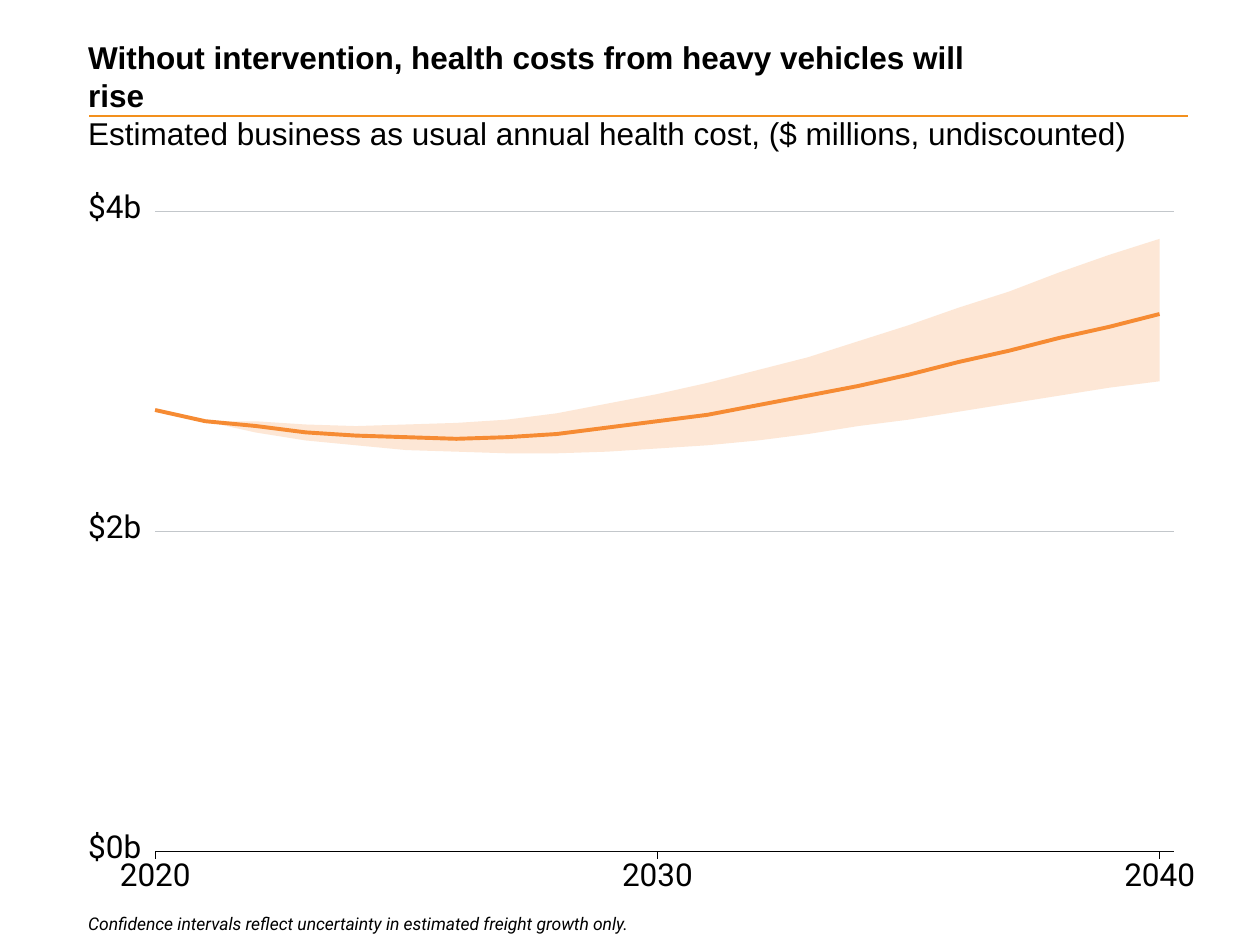
from pptx import Presentation
from pptx.dml.color import RGBColor
from pptx.enum.shapes import MSO_CONNECTOR as Conn
from pptx.enum.text import MSO_ANCHOR as Anchor, MSO_AUTO_SIZE as Auto, PP_ALIGN as Align
from pptx.oxml.ns import qn
from pptx.util import Pt
from lxml import etree

BLACK = RGBColor(0x00, 0x00, 0x00)
GOLD = RGBColor(0xF3, 0x90, 0x1D)
ORANGE = RGBColor(0xF6, 0x8B, 0x33)
GREY = RGBColor(0xC3, 0xC7, 0xCB)

# Annual cost in $ billions, one value a year from 2020
MID = [2.76, 2.69, 2.66, 2.62, 2.60, 2.59, 2.58, 2.59, 2.61, 2.65, 2.69,
       2.73, 2.79, 2.85, 2.91, 2.98, 3.06, 3.13, 3.21, 3.28, 3.36]
HIGH = [2.76, 2.69, 2.69, 2.67, 2.66, 2.67, 2.68, 2.70, 2.74, 2.80, 2.86,
        2.93, 3.01, 3.09, 3.19, 3.29, 3.40, 3.50, 3.62, 3.73, 3.83]
LOW = [2.76, 2.69, 2.62, 2.57, 2.54, 2.51, 2.50, 2.49, 2.49, 2.50, 2.52,
       2.54, 2.57, 2.61, 2.66, 2.70, 2.75, 2.80, 2.85, 2.90, 2.94]

# Plot scale in points
LEFT, RIGHT, BASE = 88.6, 671, 486.7
YEAR, BILLION = 28.7, 91.44
MARGIN = 50.4

deck = Presentation()
deck.slide_width, deck.slide_height = Pt(720), Pt(540)
slide = deck.slides.add_slide(deck.slide_layouts[5])
shapes = slide.shapes


def write(box, place, text, size, font, anchor, wrap=True, gap=None, bold=False, slant=False):
    box.left, box.top, box.width, box.height = [Pt(n) for n in place]
    frame = box.text_frame
    frame.auto_size, frame.word_wrap = Auto.NONE, wrap
    frame.vertical_anchor = anchor
    frame.margin_left = frame.margin_right = frame.margin_top = frame.margin_bottom = 0
    para = frame.paragraphs[0]
    para.alignment = Align.LEFT
    para.line_spacing = gap
    run = para.add_run()
    run.text = text
    run.font.size, run.font.name = Pt(size), font
    run.font.bold, run.font.italic = bold, slant
    run.font.color.rgb = BLACK


def rule(x1, y1, x2, y2, color, width):
    line = shapes.add_connector(Conn.STRAIGHT, Pt(x1), Pt(y1), Pt(x2), Pt(y2))
    line.line.color.rgb, line.line.width = color, Pt(width)
    etree.SubElement(line._element.spPr, qn("a:effectLst"))


# Heading
rule(51, 66.4, 679, 66.4, GOLD, 1.5)
write(shapes.title, (MARGIN, 15.8, 510.5, 49), "Without intervention, health costs from heavy vehicles will rise",
      18, "Arial", Anchor.BOTTOM, bold=True)
write(shapes.add_textbox(0, 0, 0, 0), (MARGIN, 67.7, 629, 50.4),
      "Estimated business as usual annual health cost, ($ millions, undiscounted)",
      18, "Arial", Anchor.TOP, gap=0.9)

# Gridlines and cost labels
for cost in (0, 2, 4):
    y = BASE - cost * BILLION
    rule(LEFT, y, RIGHT, y, GREY, 0.37)
    write(shapes.add_textbox(0, 0, 0, 0), (MARGIN, y - 9.6, 30.2, 15.8), f"${cost}b",
          18, "Roboto", Anchor.MIDDLE, wrap=False, gap=Pt(18))

# Confidence band and central estimate
mid, high, low = [[(Pt(LEFT + i * YEAR), Pt(BASE - v * BILLION)) for i, v in enumerate(row)]
                  for row in (MID, HIGH, LOW)]
for dots, close in ((high + low[::-1], True), (mid, False)):
    pen = shapes.build_freeform(*dots[0])
    pen.add_line_segments(dots[1:], close=close)
    curve = pen.convert_to_shape()
    curve.shadow.inherit = False
    if close:
        curve.fill.solid()
        curve.fill.fore_color.rgb = ORANGE
        tint = curve._element.spPr.find(qn("a:solidFill"))[0]
        etree.SubElement(tint, qn("a:alpha"), val="20000")
        curve.line.fill.background()
    else:
        curve.fill.background()
        curve.line.color.rgb, curve.line.width = ORANGE, Pt(2.25)

# Time axis
rule(LEFT, BASE, RIGHT, BASE, BLACK, 0.75)
for year in (2020, 2030, 2040):
    x = LEFT + (year - 2020) * YEAR
    rule(x, BASE, x, BASE + 4.3, BLACK, 0.56)
    write(shapes.add_textbox(0, 0, 0, 0), (x - 20.1, 494.6, 40.2, 13), str(year),
          18, "Roboto", Anchor.MIDDLE, wrap=False, gap=Pt(18))

# Footnote
write(shapes.add_textbox(0, 0, 0, 0), (MARGIN, 524.2, 316, 9.4),
      "Confidence intervals reflect uncertainty in estimated freight growth only.",
      10, "Roboto", Anchor.MIDDLE, wrap=False, gap=Pt(10), slant=True)

deck.save("out.pptx")
